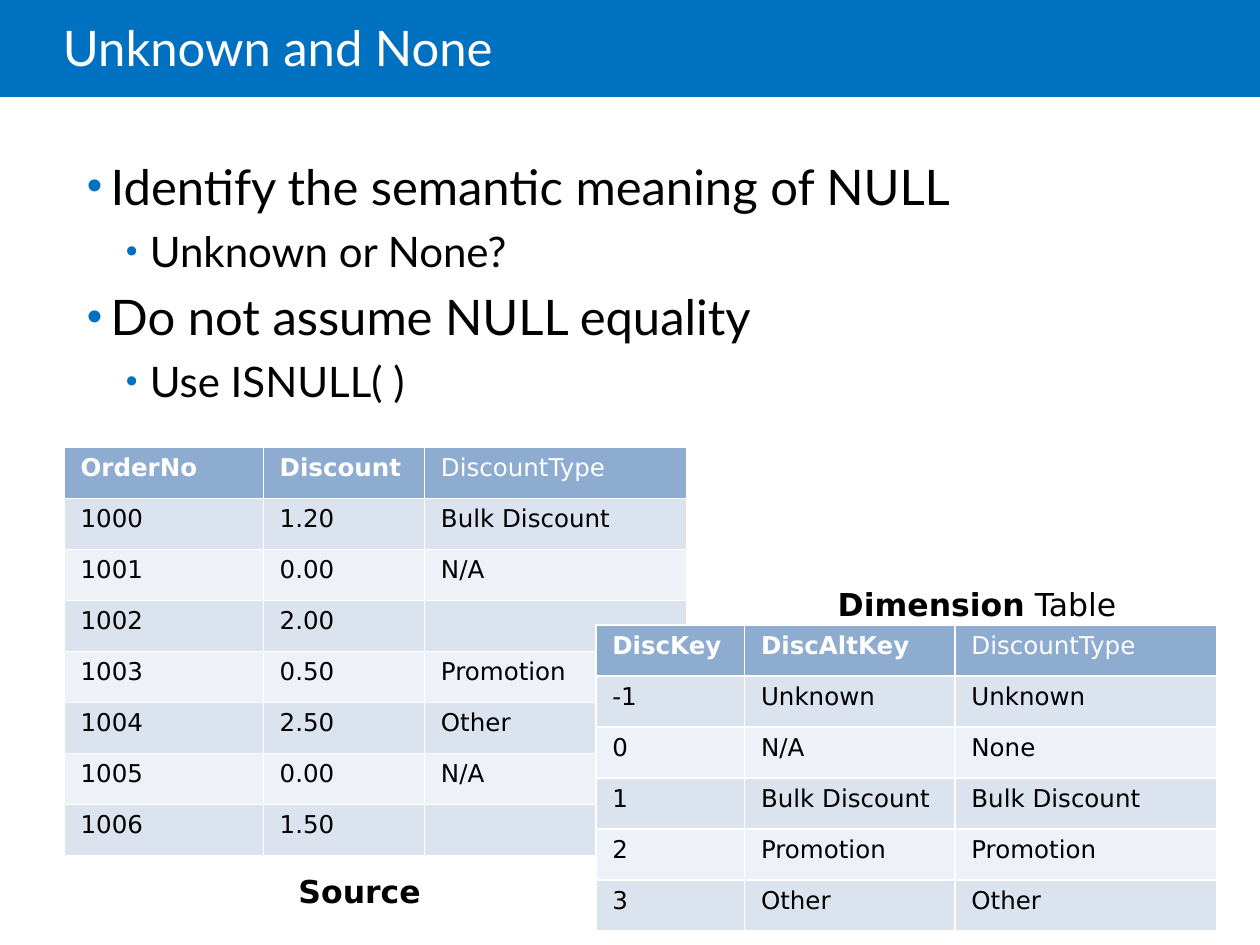
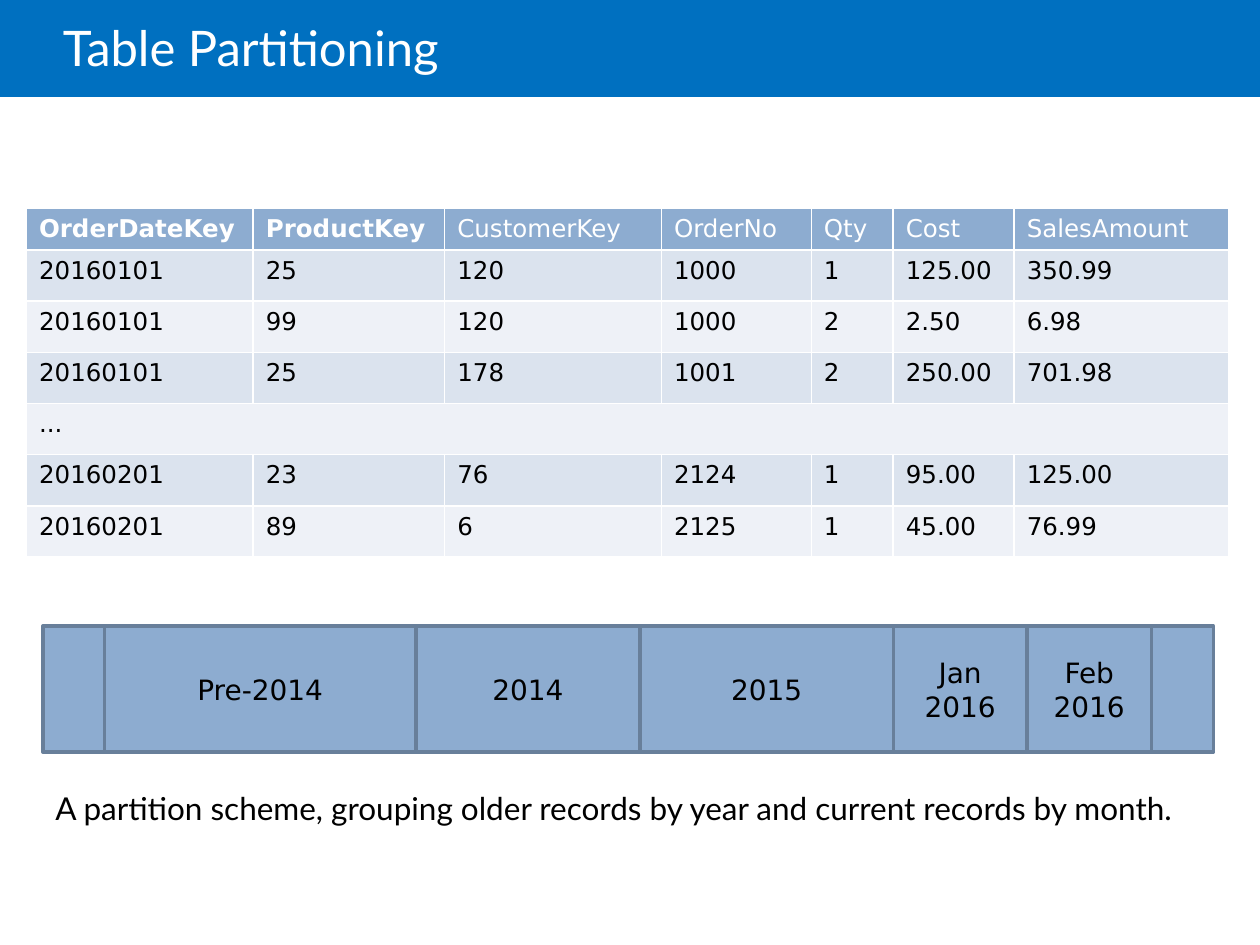
from itertools import accumulate

from lxml import etree
from pptx import Presentation
from pptx import util as u
from pptx.dml.color import RGBColor
from pptx.enum import shapes, text
from pptx.oxml.ns import qn

COLORS = {
    "band": "0070C0",
    "light": "FFFFFF",
    "ink": "000000",
    "header": "8DACD0",
    "odd_row": "DBE3EE",
    "even_row": "EEF1F7",
    "outline": "687F9A",
}
HEADING_FONT, DATA_FONT = "Lato", "DejaVu Sans"
KEY_COLUMNS = 2  # leading columns whose headings are bold

SOURCE_ROWS = [
    ["OrderNo", "Discount", "DiscountType"],
    ["1000", "1.20", "Bulk Discount"],
    ["1001", "0.00", "N/A"],
    ["1002", "2.00", ""],
    ["1003", "0.50", "Promotion"],
    ["1004", "2.50", "Other"],
    ["1005", "0.00", "N/A"],
    ["1006", "1.50", ""],
]
DIMENSION_ROWS = [
    ["DiscKey", "DiscAltKey", "DiscountType"],
    ["-1", "Unknown", "Unknown"],
    ["0", "N/A", "None"],
    ["1", "Bulk Discount", "Bulk Discount"],
    ["2", "Promotion", "Promotion"],
    ["3", "Other", "Other"],
]
SALES_ROWS = [
    ["OrderDateKey", "ProductKey", "CustomerKey", "OrderNo", "Qty", "Cost", "SalesAmount"],
    ["20160101", "25", "120", "1000", "1", "125.00", "350.99"],
    ["20160101", "99", "120", "1000", "2", "2.50", "6.98"],
    ["20160101", "25", "178", "1001", "2", "250.00", "701.98"],
    ["..."],
    ["20160201", "23", "76", "2124", "1", "95.00", "125.00"],
    ["20160201", "89", "6", "2125", "1", "45.00", "76.99"],
]
PARTITIONS = [("", 0.49), ("Pre-2014", 2.47), ("2014", 1.78), ("2015", 2.01),
              ("Jan\n2016", 1.06), ("Feb\n2016", 0.99), ("", 0.49)]


def rgb(color):
    return RGBColor.from_string(COLORS[color])


def inches(box):
    return [u.Inches(length) for length in box]


def fill(target, color):
    target.fill.solid()
    target.fill.fore_color.rgb = rgb(color)


def style(paragraph, size, font, color="ink", bold=False):
    for run in paragraph.runs:
        run.font.size = u.Pt(size)
        run.font.name = font
        run.font.bold = bold
        run.font.color.rgb = rgb(color)


def add_box(parent, box, color):
    rectangle = parent.shapes.add_shape(shapes.MSO_SHAPE.RECTANGLE, *inches(box))
    rectangle.shadow.inherit = False
    fill(rectangle, color)
    rectangle.line.fill.background()
    return rectangle


def add_text(slide, box, words, size, font, wrap=True):
    frame = slide.shapes.add_textbox(*inches(box)).text_frame
    frame.word_wrap = wrap
    frame.text = words
    for paragraph in frame.paragraphs:
        style(paragraph, size, font)
    return frame


def add_titled_slide(deck, title):
    slide = deck.slides.add_slide(deck.slide_layouts[6])
    add_box(slide, (0, 0, 10, 0.77), "band")
    frame = add_text(slide, (0.5, 0, 8.5, 0.81), title, 28, HEADING_FONT)
    frame.margin_left = 0
    frame.vertical_anchor = text.MSO_ANCHOR.MIDDLE
    frame.paragraphs[0].line_spacing = 0.85
    style(frame.paragraphs[0], 28, HEADING_FONT, "light")
    return slide


def add_bullet(paragraph, indent, percent):
    paragraph.space_before = u.Pt(6)
    props = paragraph._p.get_or_add_pPr()
    props.set("marL", str(u.Inches(indent)))
    props.set("indent", str(u.Inches(-0.19)))
    color = etree.SubElement(props, qn("a:buClr"))
    etree.SubElement(color, qn("a:srgbClr"), val=COLORS["band"])
    etree.SubElement(props, qn("a:buSzPct"), val=str(percent * 1000))
    etree.SubElement(props, qn("a:buFont"), typeface="Arial")
    etree.SubElement(props, qn("a:buChar"), char="•")


def add_outline(slide, box, points):
    """Add bulleted text from (level, words) pairs."""
    frame = add_text(slide, box, "\n".join(words for _, words in points), 28, HEADING_FONT)
    for paragraph, (level, _) in zip(frame.paragraphs, points):
        size, indent, percent = [(28, 0.19, 90), (24, 0.5, 80)][level]
        paragraph.level = level
        add_bullet(paragraph, indent, percent)
        style(paragraph, size, HEADING_FONT)


def add_borders(cell):
    props = cell._tc.get_or_add_tcPr()
    for index, side in enumerate(("lnL", "lnR", "lnT", "lnB")):
        line = etree.Element(qn(f"a:{side}"), w=str(u.Pt(1)))
        solid = etree.SubElement(line, qn("a:solidFill"))
        etree.SubElement(solid, qn("a:srgbClr"), val=COLORS["light"])
        props.insert(index, line)


def add_data_table(slide, box, rows, widths, header_height=None, margin=0.1):
    """Add a banded table; a row holding a single value spans all columns."""
    height = box[3]
    header_height = header_height or height / len(rows)
    row_height = (height - header_height) / (len(rows) - 1)
    table = slide.shapes.add_table(len(rows), len(widths), *inches(box)).table
    for column, width in zip(table.columns, widths):
        column.width = u.Inches(width)
    for r, values in enumerate(rows):
        table.rows[r].height = u.Inches(row_height if r else header_height)
        row_color = ("odd_row" if r % 2 else "even_row") if r else "header"
        for c in range(len(widths)):
            cell = table.cell(r, c)
            cell.margin_left = cell.margin_right = u.Inches(margin)
            fill(cell, row_color)
            add_borders(cell)
            if c < len(values):
                cell.text = values[c]
                style(cell.text_frame.paragraphs[0], 14, DATA_FONT,
                      "ink" if r else "light", bold=r == 0 and c < KEY_COLUMNS)
        if len(values) == 1:
            table.cell(r, 0).merge(table.cell(r, len(widths) - 1))


def add_caption(slide, box, bold_words, plain_words=""):
    frame = add_text(slide, box, bold_words, 18, DATA_FONT, wrap=False)
    paragraph = frame.paragraphs[0]
    if plain_words:
        paragraph.add_run().text = plain_words
        style(paragraph, 18, DATA_FONT)
    paragraph.runs[0].font.bold = True


def add_partition_strip(slide, left, top, height):
    strip = slide.shapes.add_group_shape()
    widths = [width for _, width in PARTITIONS]
    for (label, width), offset in zip(PARTITIONS, accumulate(widths, initial=0)):
        partition = add_box(strip, (left + offset, top, width, height), "header")
        partition.line.color.rgb = rgb("outline")
        partition.line.width = u.Pt(2)
        frame = partition.text_frame
        frame.margin_left = frame.margin_right = u.Inches(0.2)
        frame.vertical_anchor = text.MSO_ANCHOR.MIDDLE
        frame.text = label
        for paragraph in frame.paragraphs:
            paragraph.alignment = text.PP_ALIGN.CENTER
            style(paragraph, 16, DATA_FONT)


def build_unknown_and_none(deck):
    slide = add_titled_slide(deck, "Unknown and None")
    add_outline(slide, (0.59, 1.19, 8.11, 3.1), [
        (0, "Identify the semantic meaning of NULL"),
        (1, "Unknown or None?"),
        (0, "Do not assume NULL equality"),
        (1, "Use ISNULL( )"),
    ])
    add_data_table(slide, (0.51, 3.55, 4.94, 3.24), SOURCE_ROWS,
                   (1.58, 1.28, 2.08), margin=0.13)
    add_caption(slide, (2.27, 6.87, 1.18, 0.4), "Source")
    add_caption(slide, (6.55, 4.59, 2.45, 0.4), "Dimension", " Table")
    add_data_table(slide, (4.73, 4.96, 4.93, 2.43), DIMENSION_ROWS,
                   (1.18, 1.67, 2.08), margin=0.13)


def build_table_partitioning(deck):
    slide = add_titled_slide(deck, "Table Partitioning")
    add_data_table(slide, (0.21, 1.65, 9.53, 2.77), SALES_ROWS,
                   (1.8, 1.52, 1.72, 1.19, 0.65, 0.96, 1.7), header_height=0.33)
    add_partition_strip(slide, 0.34, 4.97, 1)
    add_text(slide, (0.34, 6.21, 9.29, 0.4),
             "A partition scheme, grouping older records by year"
             " and current records by month.", 18, HEADING_FONT)


def main():
    deck = Presentation()
    deck.slide_width, deck.slide_height = inches((10, 7.5))
    build_unknown_and_none(deck)
    build_table_partitioning(deck)
    deck.save("out.pptx")


if __name__ == "__main__":
    main()
